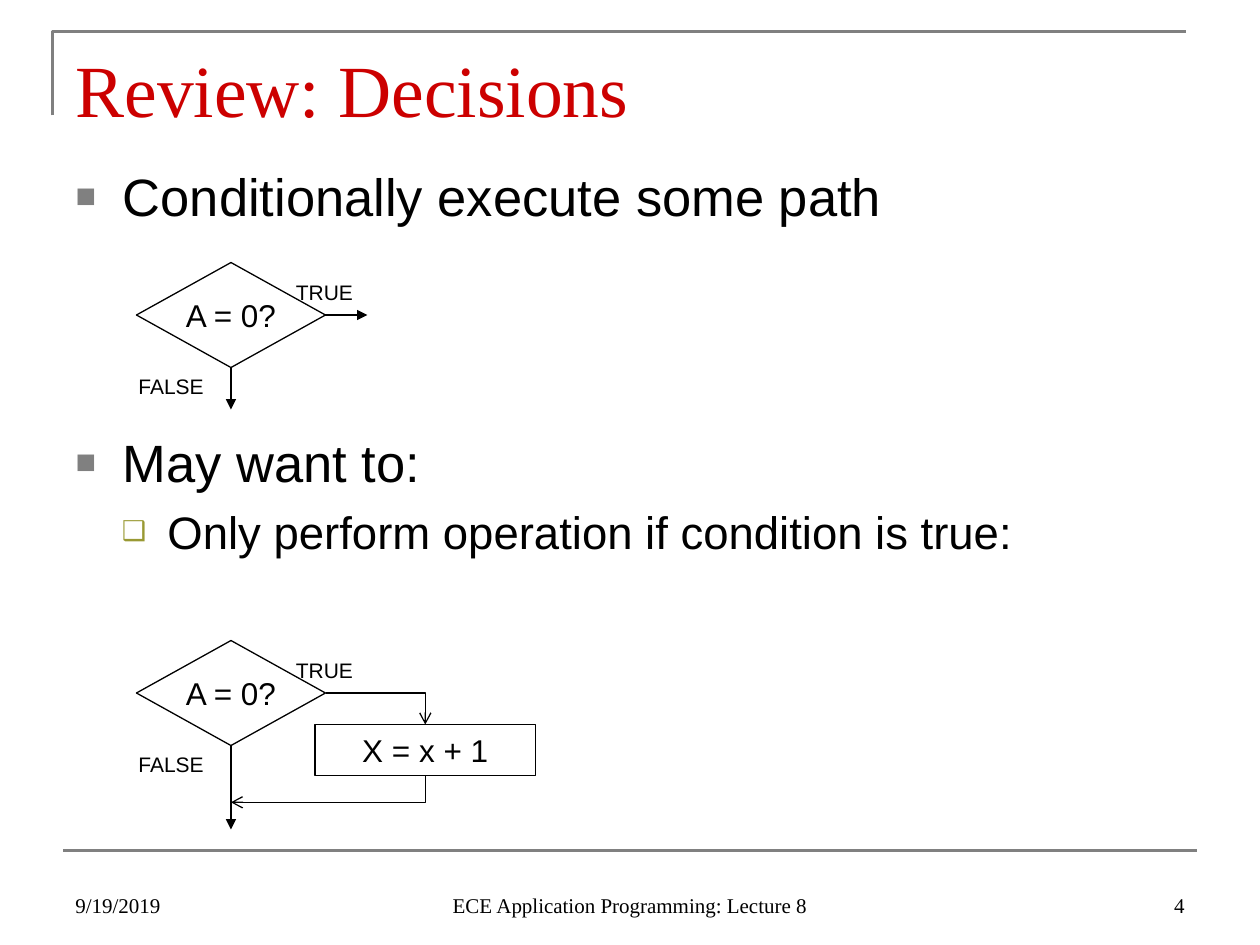
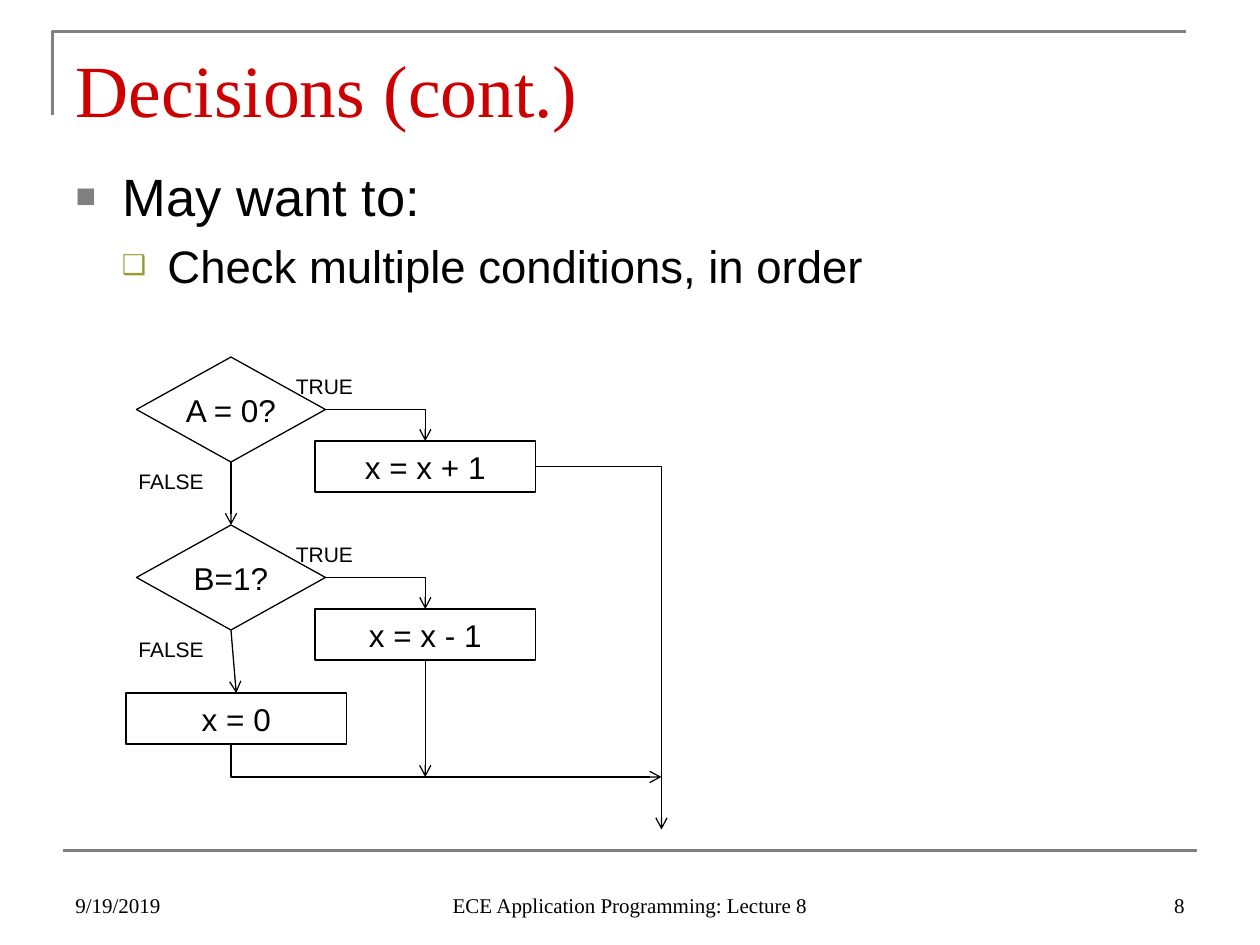
from dataclasses import dataclass
from typing import Any

from lxml import etree
from pptx import Presentation
from pptx import util as u
from pptx.dml import color
from pptx.enum import shapes, text
from pptx.oxml import ns

Pt = u.Pt


@dataclass(frozen=True)
class Theme:
    ink: str = "000000"
    title: str = "CC0000"
    frame: str = "808080"
    accent: str = "999933"
    serif: str = "Times New Roman"
    sans: str = "Arial"
    title_size: float = 42
    item_size: float = 30
    subitem_size: float = 26
    step_size: float = 18
    small_size: float = 12
    thin: float = 0.75
    thick: float = 1.5


@dataclass(frozen=True)
class ListStyle:
    size: float
    margin: float
    hanging: float
    symbol: str
    tint: str
    percent: int


@dataclass(frozen=True)
class Item:
    words: str
    level: int = 0
    space_before: float = 0


@dataclass(frozen=True)
class Footer:
    words: str
    left: float
    width: float
    align: Any


@dataclass(frozen=True)
class Decision:
    words: str
    top: float


@dataclass(frozen=True)
class Step:
    words: str
    left: float
    top: float


@dataclass(frozen=True)
class Arrow:
    start: tuple[float, float]
    end: tuple[float, float]
    tip: str = "arrow"
    bent: bool = False
    tip_end: str = "tailEnd"


@dataclass(frozen=True)
class Page:
    title: str
    number: str
    items: list[Item]
    flow: list[Any]


THEME = Theme()
LIST_STYLES = [
    ListStyle(THEME.item_size, 27, 27, "■", THEME.frame, 65),
    ListStyle(THEME.subitem_size, 52.5, 26, "❑", THEME.accent, 60),
]
DECISION_LEFT, DECISION_WIDTH, DECISION_HEIGHT = 78, 108, 60
STEP_WIDTH, STEP_HEIGHT = 126, 29.2
STEP_LEFT, STEP_DROP = 180, 48
AXIS = DECISION_LEFT + DECISION_WIDTH / 2
STEP_AXIS = STEP_LEFT + STEP_WIDTH / 2
EXIT_AXIS, FLOW_END = 378, 474


def apply(target: Any, values: dict[str, Any]) -> None:
    for name, value in values.items():
        setattr(target, name, value)


def rgb(value: str) -> color.RGBColor:
    return color.RGBColor.from_string(value)


def add_xml(parent: Any, tag: str, **attributes: str) -> Any:
    return etree.SubElement(parent, ns.qn(tag), attributes)


def place(box: Any, left: float, top: float, width: float, height: float) -> None:
    values = {"left": left, "top": top, "width": width, "height": height}
    apply(box, {name: Pt(value) for name, value in values.items()})


def style_line(line: Any, tint: str, width: float) -> None:
    line.color.rgb = rgb(tint)
    line.width = Pt(width)


def write(para: Any, words: str, font: str, size: float, tint: str, align: Any) -> None:
    para.alignment = align
    span = para.add_run()
    span.text = words
    apply(span.font, {"name": font, "size": Pt(size)})
    span.font.color.rgb = rgb(tint)


def set_frame(box: Any, anchor: Any, wrap: bool = True) -> Any:
    frame = box.text_frame
    apply(frame, {
        "word_wrap": wrap,
        "auto_size": text.MSO_AUTO_SIZE.NONE,
        "vertical_anchor": anchor,
    })
    return frame


def add_text(page: Any, words: str, bounds: tuple, font: str, align: Any, anchor: Any) -> None:
    box = page.shapes.add_textbox(*map(Pt, bounds))
    frame = set_frame(box, anchor)
    write(frame.paragraphs[0], words, font, THEME.small_size, THEME.ink, align)


def add_arrow(page: Any, arrow: Arrow) -> None:
    kind = shapes.MSO_CONNECTOR.ELBOW if arrow.bent else shapes.MSO_CONNECTOR.STRAIGHT
    line = page.shapes.add_connector(kind, *map(Pt, arrow.start + arrow.end))
    style_line(line.line, THEME.ink, THEME.thin)
    properties = line._element.spPr
    if arrow.bent:
        properties.find(ns.qn("a:prstGeom")).set("prst", "bentConnector2")
    add_xml(properties.find(ns.qn("a:ln")), f"a:{arrow.tip_end}", type=arrow.tip)
    add_xml(properties, "a:effectLst")


def add_block(page: Any, kind: Any, words: str, bounds: tuple, wrap: bool) -> None:
    block = page.shapes.add_shape(kind, *map(Pt, bounds))
    block.shadow.inherit = False
    block.fill.background()
    style_line(block.line, THEME.ink, THEME.thin)
    frame = set_frame(block, text.MSO_ANCHOR.MIDDLE, wrap)
    write(frame.paragraphs[0], words, THEME.sans, THEME.step_size, THEME.ink,
          text.PP_ALIGN.CENTER)


def add_decision(page: Any, decision: Decision) -> None:
    top = decision.top
    add_block(page, shapes.MSO_SHAPE.FLOWCHART_DECISION, decision.words,
              (DECISION_LEFT, top, DECISION_WIDTH, DECISION_HEIGHT), False)
    for words, left, label_top, width in (
        ("TRUE", 162, top + 6, 48),
        ("FALSE", 72, top + DECISION_HEIGHT, 54),
    ):
        add_text(page, words, (left, label_top, width, 21.6), THEME.sans,
                 text.PP_ALIGN.LEFT, text.MSO_ANCHOR.TOP)


def add_step(page: Any, step: Step) -> None:
    add_block(page, shapes.MSO_SHAPE.RECTANGLE, step.words,
              (step.left, step.top, STEP_WIDTH, STEP_HEIGHT), True)


DRAW = {Decision: add_decision, Step: add_step, Arrow: add_arrow}


def add_frame(page: Any, number: str) -> None:
    builder = page.shapes.build_freeform(Pt(30), Pt(66))
    builder.add_line_segments([(Pt(30), Pt(18)), (Pt(678), Pt(18))], close=False)
    corner = builder.convert_to_shape()
    corner.shadow.inherit = False
    corner.fill.background()
    rule = page.shapes.add_connector(
        shapes.MSO_CONNECTOR.STRAIGHT, Pt(36), Pt(486), Pt(684), Pt(486))
    for outline in (corner, rule):
        style_line(outline.line, THEME.frame, THEME.thick)
    add_xml(rule._element.spPr, "a:effectLst")
    for footer in (
        Footer("9/19/2019", 36, 168, text.PP_ALIGN.LEFT),
        Footer("ECE Application Programming: Lecture 8", 246, 228, text.PP_ALIGN.CENTER),
        Footer(number, 516, 168, text.PP_ALIGN.RIGHT),
    ):
        add_text(page, footer.words, (footer.left, 492, footer.width, 36),
                 THEME.serif, footer.align, text.MSO_ANCHOR.BOTTOM)


def fill_list(body: Any, items: list[Item]) -> None:
    place(body, 36, 90, 648, 392.4)
    frame = set_frame(body, text.MSO_ANCHOR.TOP)
    for index, item in enumerate(items):
        style = LIST_STYLES[item.level]
        para = frame.add_paragraph() if index else frame.paragraphs[0]
        apply(para, {"level": item.level, "space_before": Pt(item.space_before)})
        write(para, item.words, THEME.sans, style.size, THEME.ink, text.PP_ALIGN.LEFT)
        properties = para._p.get_or_add_pPr()
        properties.set("marL", str(Pt(style.margin)))
        properties.set("indent", str(-Pt(style.hanging)))
        add_xml(add_xml(properties, "a:buClr"), "a:srgbClr", val=style.tint)
        add_xml(properties, "a:buSzPct", val=str(style.percent * 1000))
        add_xml(properties, "a:buFont", typeface=THEME.sans)
        add_xml(properties, "a:buChar", char=style.symbol)


def add_page(deck: Any, content: Page) -> None:
    page = deck.slides.add_slide(deck.slide_layouts[1])
    add_frame(page, content.number)
    title, body = page.placeholders
    place(title, 36, 21.6, 648, 56.2)
    frame = set_frame(title, text.MSO_ANCHOR.TOP)
    write(frame.paragraphs[0], content.title, THEME.serif, THEME.title_size, THEME.title,
          text.PP_ALIGN.LEFT)
    fill_list(body, content.items)
    for figure in content.flow:
        DRAW[type(figure)](page, figure)


def true_branch(condition: str, action: str, top: float) -> list[Any]:
    middle = top + DECISION_HEIGHT / 2
    return [
        Decision(condition, top),
        Step(action, STEP_LEFT, top + STEP_DROP),
        Arrow((DECISION_LEFT + DECISION_WIDTH, middle), (STEP_AXIS, top + STEP_DROP), bent=True),
    ]


PAGES = [
    Page("Review: Decisions", "4", [
        Item("Conditionally execute some path"),
        Item("May want to:", 0, 116),
        Item("Only perform operation if condition is true:", 1, 6.5),
    ], [
        Decision("A = 0?", 150),
        Arrow((186, 180), (210, 180), "triangle"),
        Arrow((AXIS, 210), (AXIS, 234), "triangle"),
        *true_branch("A = 0?", "X = x + 1", 366),
        Arrow((AXIS, 426), (AXIS, FLOW_END), "triangle"),
        Arrow((AXIS, 458.5), (STEP_AXIS, 443.2), bent=True, tip_end="headEnd"),
    ]),
    Page("Decisions (cont.)", "8", [
        Item("May want to:"),
        Item("Check multiple conditions, in order", 1, 6.5),
    ], [
        *true_branch("A = 0?", "x = x + 1", 204),
        *true_branch("B=1?", "x = x - 1", 300),
        Step("x = 0", 72, 396),
        Arrow((306, 266.6), (EXIT_AXIS, FLOW_END), bent=True),
        Arrow((AXIS, 264), (AXIS, 300)),
        Arrow((AXIS, 360), (135, 396)),
        Arrow((STEP_AXIS, 377.2), (STEP_AXIS, 444)),
        Arrow((EXIT_AXIS, 444), (AXIS, 425.2), bent=True, tip_end="headEnd"),
    ]),
]


def main() -> None:
    deck = Presentation()
    apply(deck, {"slide_width": Pt(720), "slide_height": Pt(540)})
    for content in PAGES:
        add_page(deck, content)
    deck.save("out.pptx")


if __name__ == "__main__":
    main()
